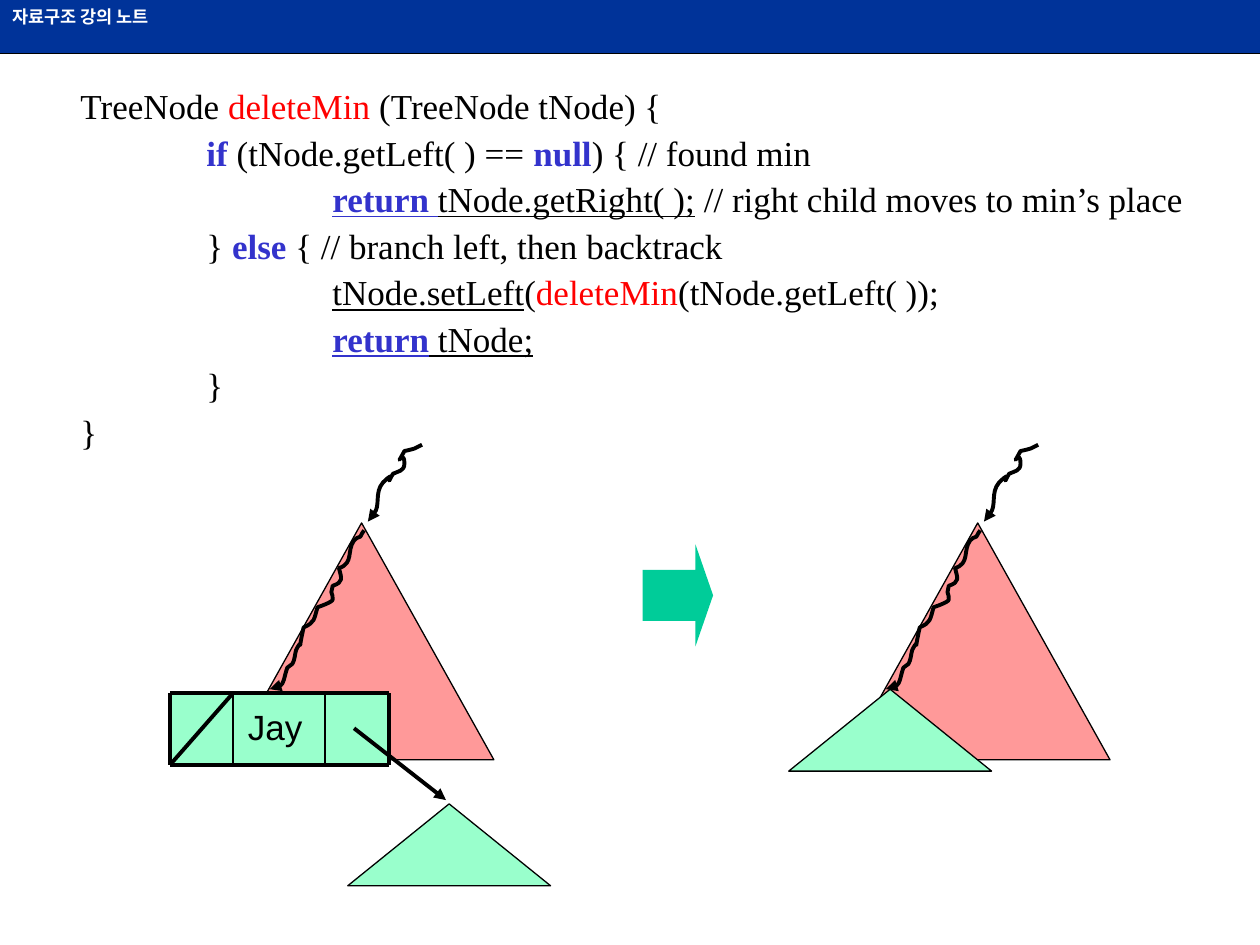
from lxml.etree import SubElement
from pptx import Presentation
from pptx.dml.color import RGBColor as Rgb
from pptx.enum.shapes import MSO_CONNECTOR as Conn, MSO_SHAPE as Kind
from pptx.enum.text import MSO_ANCHOR as Anchor, MSO_AUTO_SIZE as Fit, PP_ALIGN as Align
from pptx.oxml.ns import qn
from pptx.util import Pt

PX = 9144  # 100 px to the inch

THEME = {
    "bar": "003399", "ink": "000000", "paper": "FFFFFF", "call": "FF0000",
    "key": "3333CC", "tree": "FF9999", "leaf": "99FFCC", "arrow": "00CC99",
    "sans": "Arial", "serif": "Times New Roman",
    "head": Pt(10), "body": Pt(20),
    "thin": 0.75, "rule": 1, "edge": 1.5, "bold": 2.25,
}

# Run styles: colour and font values
STYLES = {
    "plain": ("ink", {}),
    "under": ("ink", {"underline": True}),
    "call": ("call", {}),
    "key": ("key", {"bold": True}),
    "back": ("key", {"bold": True, "underline": True}),
}

CODE = [
    [("TreeNode", "plain"), (" deleteMin ", "call"), ("(TreeNode tNode) {", "plain")],
    [("\tif ", "key"), ("(tNode.getLeft( ) == ", "plain"), ("null", "key"),
     (") { // found min", "plain")],
    [("\t\t", "key"), ("return ", "back"), ("tNode.getRight( );", "under"),
     (" // right child moves to min’s place", "plain")],
    [("\t} ", "plain"), ("else", "key"), (" { // branch left, then backtrack", "plain")],
    [("\t\t", "plain"), ("tNode.setLeft", "under"), ("(", "plain"),
     ("deleteMin", "call"), ("(tNode.getLeft( ));", "plain")],
    [("\t\t", "plain"), ("return", "back"), (" tNode;", "under")],
    [("\t}", "plain")],
    [("}", "plain")],
]

# Wavy paths: a start, then curves of two handles and an end
ENTRY = [
    (43, 0), (41, 1), (39, 2), (37, 3), (34, 4), (29, 5), (29, 5),
    (20, 22), (29, 1), (29, 15), (29, 21), (24, 21), (20, 23),
    (11, 38), (26, 16), (12, 30), (5, 38), (12, 53), (1, 57),
    (1, 58), (0, 61), (0, 61),
]
DESCENT = [
    (75, 0), (74, 1), (73, 3), (72, 5), (70, 6), (68, 6), (67, 8),
    (61, 16), (67, 26), (55, 30), (57, 38), (59, 41), (50, 44),
    (50, 46), (49, 47), (49, 49), (49, 51), (51, 53), (50, 55),
    (50, 57), (38, 61), (38, 61), (35, 71), (36, 73), (27, 77),
    (21, 104), (28, 81), (21, 95), (20, 98), (20, 103), (18, 106),
    (17, 107), (15, 108), (14, 109), (11, 118), (12, 126), (0, 126),
]


def rgb(name):
    return Rgb.from_string(THEME[name])


def ink(line, width, head=False):
    line.color.rgb = rgb("ink")
    line.width = Pt(THEME[width])
    if head:
        SubElement(line._get_or_add_ln(), qn("a:tailEnd"), type="triangle")


def block(parts, kind, box, fill, width=None):
    shape = parts.add_shape(kind, *(n * PX for n in box))
    shape.shadow.inherit = False
    shape.fill.solid()
    shape.fill.fore_color.rgb = rgb(fill)
    if width:
        ink(shape.line, width)
    else:
        shape.line.fill.background()
    return shape


def rule(parts, start, end, width, head=False):
    line = parts.add_connector(Conn.STRAIGHT, *(n * PX for n in start + end))
    SubElement(line._element.spPr, qn("a:effectLst"))
    ink(line.line, width, head)


def wave(parts, left, top, nodes):
    """Draw a curved outline that ends in an arrowhead."""
    dots = [((left + x) * PX, (top + y) * PX) for x, y in nodes]
    pen = parts.build_freeform(*dots[0])
    pen.add_line_segments(dots[1:], close=False)
    shape = pen.convert_to_shape()
    # Join every three straight steps into one cubic curve
    legs = list(shape._element.iter(qn("a:lnTo")))
    for i in range(0, len(legs), 3):
        curve = SubElement(legs[i].getparent(), qn("a:cubicBezTo"))
        for leg in legs[i:i + 3]:
            curve.append(leg[0])
            leg.getparent().remove(leg)
    shape.shadow.inherit = False
    shape.fill.background()
    ink(shape.line, "bold", head=True)


def write(para, text, color, values):
    run = para.add_run()
    run.text = text
    for key, value in values.items():
        setattr(run.font, key, value)
    run.font.color.rgb = rgb(color)


def header(parts, left, top, width, height):
    base = top + height
    rule(parts, (left, base), (left + width, base), "edge")
    bar = block(parts, Kind.RECTANGLE, (left, top, width, height), "bar")
    bar.text_frame.vertical_anchor = Anchor.TOP
    para = bar.text_frame.paragraphs[0]
    para.alignment = Align.LEFT
    write(para, "자료구조 강의 노트", "paper",
          {"name": THEME["sans"], "size": THEME["head"], "bold": True})


def listing(parts, *box):
    frame = parts.add_textbox(*(n * PX for n in box)).text_frame
    frame.word_wrap = True
    frame.auto_size = Fit.SHAPE_TO_FIT_TEXT
    base = {"name": THEME["serif"], "size": THEME["body"]}
    for i, runs in enumerate(CODE):
        para = frame.add_paragraph() if i else frame.paragraphs[0]
        para.line_spacing = 0.9
        para.space_before = Pt(5 if i else 0)
        tabs = SubElement(para._p.get_or_add_pPr(), qn("a:tabLst"))
        for stop in range(8):
            SubElement(tabs, qn("a:tab"), pos=str(stop * 100 * PX), algn="l")
        for text, style in runs:
            color, values = STYLES[style]
            write(para, text, color, base | values)


def tree(parts, left, top, width, height):
    wave(parts, left + 110, top - 62, ENTRY)
    block(parts, Kind.ISOSCELES_TRIANGLE, (left, top, width, height), "tree", "thin")
    wave(parts, left + 32, top + 6, DESCENT)


def leaf(parts, *box):
    block(parts, Kind.ISOSCELES_TRIANGLE, box, "leaf", "thin")


def node(parts, left, top, width, height):
    group = parts.add_group_shape().shapes
    right, base = left + width, top + height
    split, gate = left + 50, left + 123
    # Cells, from right to left
    edges = (right, left + 127, split, left)
    for end, start in zip(edges, edges[1:]):
        block(group, Kind.RECTANGLE, (start, top, end - start, height), "leaf")
    # Frame, dividers and the null slash
    for y in (top, base):
        rule(group, (left, y), (right, y), "bold")
    for x, drop, weight in ((left, 0, "bold"), (split, 0, "rule"),
                            (gate, 1, "rule"), (right, 0, "bold")):
        rule(group, (x, top + drop), (x, base + drop), weight)
    rule(group, (split, top), (left, base), "bold")
    # Label
    label = block(group, Kind.RECTANGLE, (left + 52, top + 5, 63, 44), "leaf")
    frame = label.text_frame
    frame.word_wrap = False
    frame.auto_size = Fit.SHAPE_TO_FIT_TEXT
    frame.vertical_anchor = Anchor.TOP
    para = frame.paragraphs[0]
    para.alignment = Align.LEFT
    write(para, "Jay", "ink", {"name": THEME["sans"], "size": THEME["body"]})


def main():
    deck = Presentation()
    deck.slide_width, deck.slide_height = 1000 * PX, 750 * PX
    parts = deck.slides.add_slide(deck.slide_layouts[6]).shapes
    header(parts, 0, 0, 1000, 42)
    listing(parts, 54, 66, 912, 299)
    # Before: the minimum node still hangs in the tree
    tree(parts, 182, 415, 210, 188)
    leaf(parts, 276, 638, 161, 65)
    node(parts, 135, 550, 174, 57)
    # After: its right subtree takes its place
    tree(parts, 671, 415, 210, 188)
    leaf(parts, 626, 547, 161, 65)
    # Step arrow and child pointer
    step = block(parts, Kind.RIGHT_ARROW, (510, 432, 56, 81), "arrow")
    step.adjustments[0], step.adjustments[1] = 0.5, 0.25
    rule(parts, (281, 578), (354, 635), "bold", head=True)
    deck.save("out.pptx")


if __name__ == "__main__":
    main()
